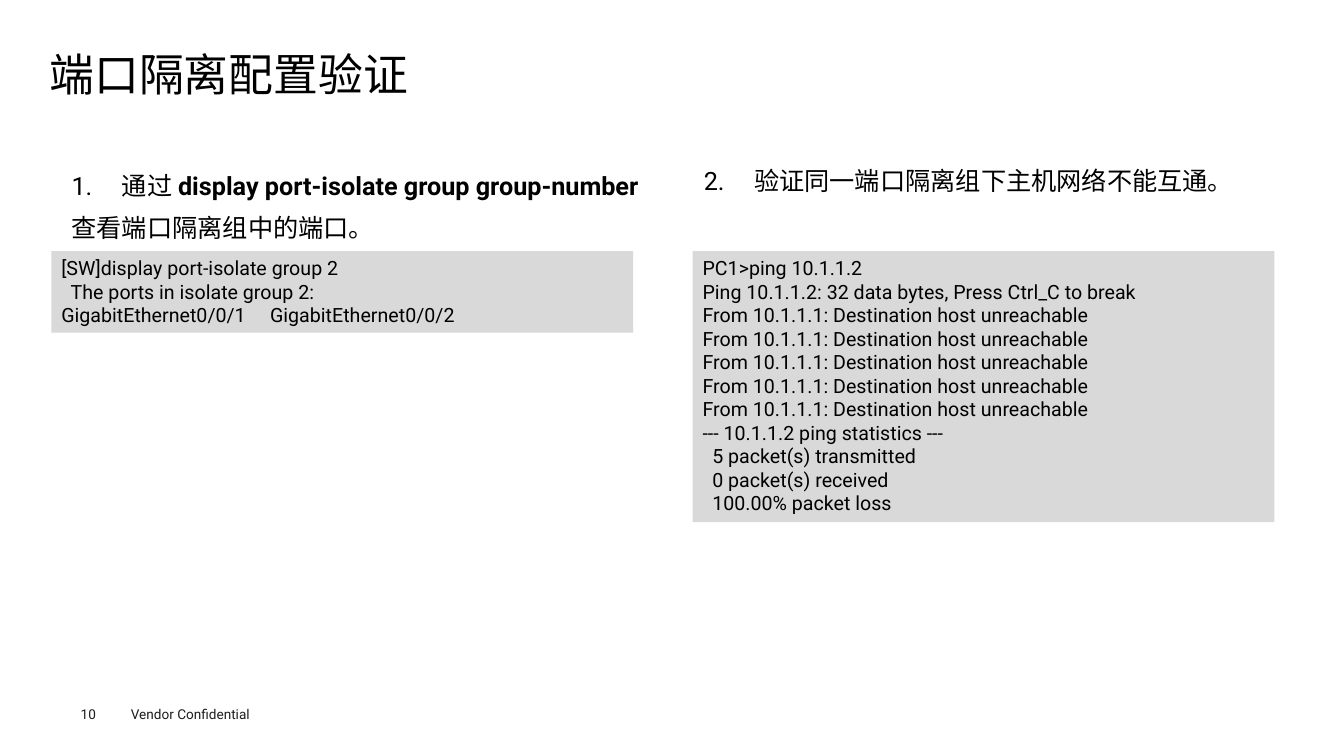
from lxml import etree
from pptx import Presentation
from pptx.dml.color import RGBColor
from pptx.enum.shapes import MSO_SHAPE as SHAPE
from pptx.enum.text import MSO_ANCHOR as ANCHOR, MSO_AUTO_SIZE as AUTO, PP_ALIGN as ALIGN
from pptx.oxml.ns import qn
from pptx.util import Inches, Pt

BLACK = RGBColor(0x00, 0x00, 0x00)
FOOTER_INK = RGBColor(0x1D, 0x1D, 0x1B)
CODE_GREY = RGBColor(0xD9, 0xD9, 0xD9)

ISOLATE_GROUP = [
    "[SW]display port-isolate group 2",
    "  The ports in isolate group 2:",
    "GigabitEthernet0/0/1     GigabitEthernet0/0/2",
]
PING = [
    "PC1>ping 10.1.1.2",
    "Ping 10.1.1.2: 32 data bytes, Press Ctrl_C to break",
    *["From 10.1.1.1: Destination host unreachable"] * 5,
    "--- 10.1.1.2 ping statistics ---",
    "  5 packet(s) transmitted",
    "  0 packet(s) received",
    "  100.00% packet loss",
]


class SlideBuilder:
    """Holds the text style and the current slide, and adds each kind of element."""

    font = {"name": "Roboto", "bold": False}
    no_margins = {"margin_left": 0, "margin_top": 0, "margin_right": 0, "margin_bottom": 0}

    def __init__(self, prs):
        self.slide = prs.slides.add_slide(prs.slide_layouts[3])

    def place(self, sp, box):
        sp.left, sp.top, sp.width, sp.height = (Inches(v) for v in box)

    def frame(self, sp, **values):
        tf = sp.text_frame
        values = {"word_wrap": True, "auto_size": AUTO.NONE,
                  "vertical_anchor": ANCHOR.TOP, **values}
        for name, value in values.items():
            setattr(tf, name, value)
        return tf

    def add_text(self, p, runs, size, color=BLACK, **values):
        values = {"alignment": ALIGN.LEFT, "space_before": Pt(0), **values}
        for name, value in values.items():
            setattr(p, name, value)
        for text, extra in runs:
            r = p.add_run()
            r.text = text
            for name, value in {**self.font, "size": Pt(size), **extra}.items():
                setattr(r.font, name, value)
            r.font.color.rgb = color

    def title(self, text, box):
        sp = self.slide.shapes.title
        self.place(sp, box)
        tf = self.frame(sp, vertical_anchor=ANCHOR.MIDDLE, **self.no_margins)
        self.add_text(tf.paragraphs[0], [(text, {})], 32, line_spacing=0.9)

    def step(self, idx, runs, box, tab, spacing=1.0, wrap=True):
        sp = self.slide.placeholders[idx]
        self.place(sp, box)
        p = self.frame(sp, word_wrap=wrap).paragraphs[0]
        pPr = p._p.get_or_add_pPr()
        pPr.set("marL", "0")
        pPr.set("indent", "0")
        etree.SubElement(pPr, qn("a:buNone"))
        tabs = etree.SubElement(pPr, qn("a:tabLst"))
        etree.SubElement(tabs, qn("a:tab"), pos=str(Inches(tab)), algn="l")
        self.add_text(p, runs, 18, line_spacing=spacing)

    def code(self, lines, box):
        sp = self.slide.shapes.add_shape(SHAPE.RECTANGLE, *(Inches(v) for v in box))
        sp.shadow.inherit = False
        sp.fill.solid()
        sp.fill.fore_color.rgb = CODE_GREY
        sp.line.fill.background()
        tf = self.frame(sp)
        for i, line in enumerate(lines):
            p = tf.add_paragraph() if i else tf.paragraphs[0]
            self.add_text(p, [(line, {})], 14)

    def footer(self, text, box, **margins):
        sp = self.slide.shapes.add_textbox(*(Inches(v) for v in box))
        tf = self.frame(sp, **margins)
        self.add_text(tf.paragraphs[0], [(text, {})], 9.7, FOOTER_INK)


def main():
    prs = Presentation()
    prs.slide_width, prs.slide_height = Inches(13.33), Inches(7.5)
    s = SlideBuilder(prs)
    s.title("端口隔离配置验证", (0.49, 0.49, 12.35, 0.54))
    s.step(1, [("1.\t通过 ", {}),
               ("display port-isolate group group-number", {"bold": True}),
               (" 查看端口隔离组中的端口。", {})],
           (0.61, 1.52, 5.94, 0.75), tab=0.33, spacing=1.4)
    s.step(2, [("2.\t验证同一端口隔离组下主机网络不能互通。", {})],
           (6.88, 1.59, 5.36, 0.4), tab=0.39, wrap=False)
    s.code(ISOLATE_GROUP, (0.51, 2.49, 5.77, 0.81))
    s.code(PING, (6.87, 2.49, 5.77, 2.69))
    s.footer("Vendor Confidential", (1.2, 6.95, 1.6, 0.27))
    s.footer("10", (0.8, 7, 0.55, 0.16), **s.no_margins)
    prs.save("out.pptx")


if __name__ == "__main__":
    main()
